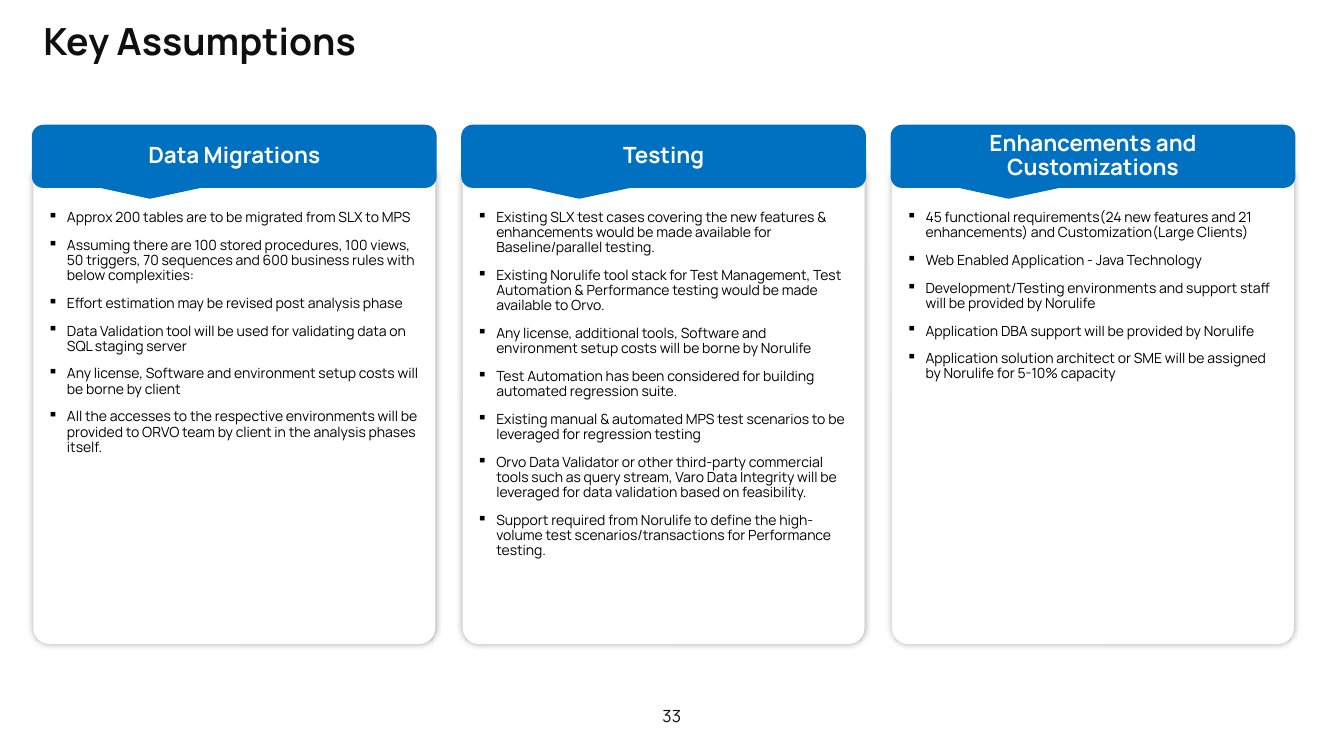
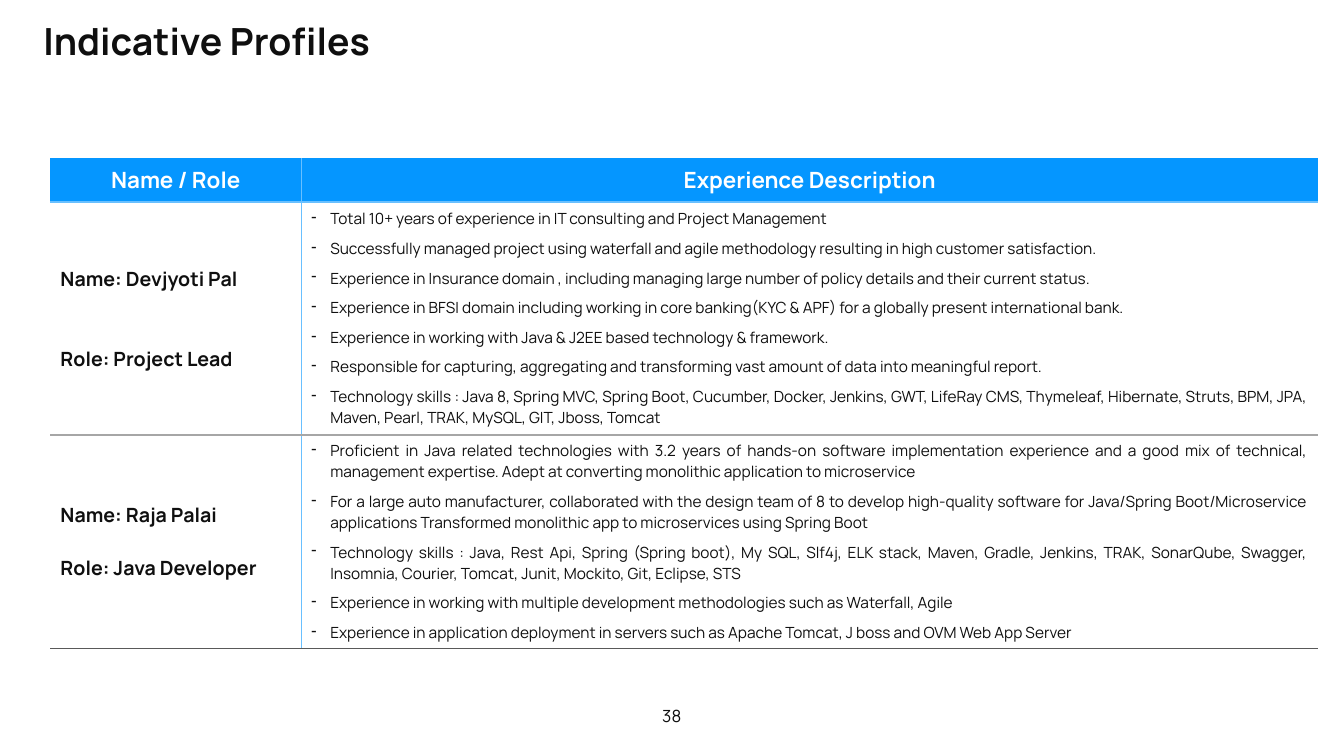
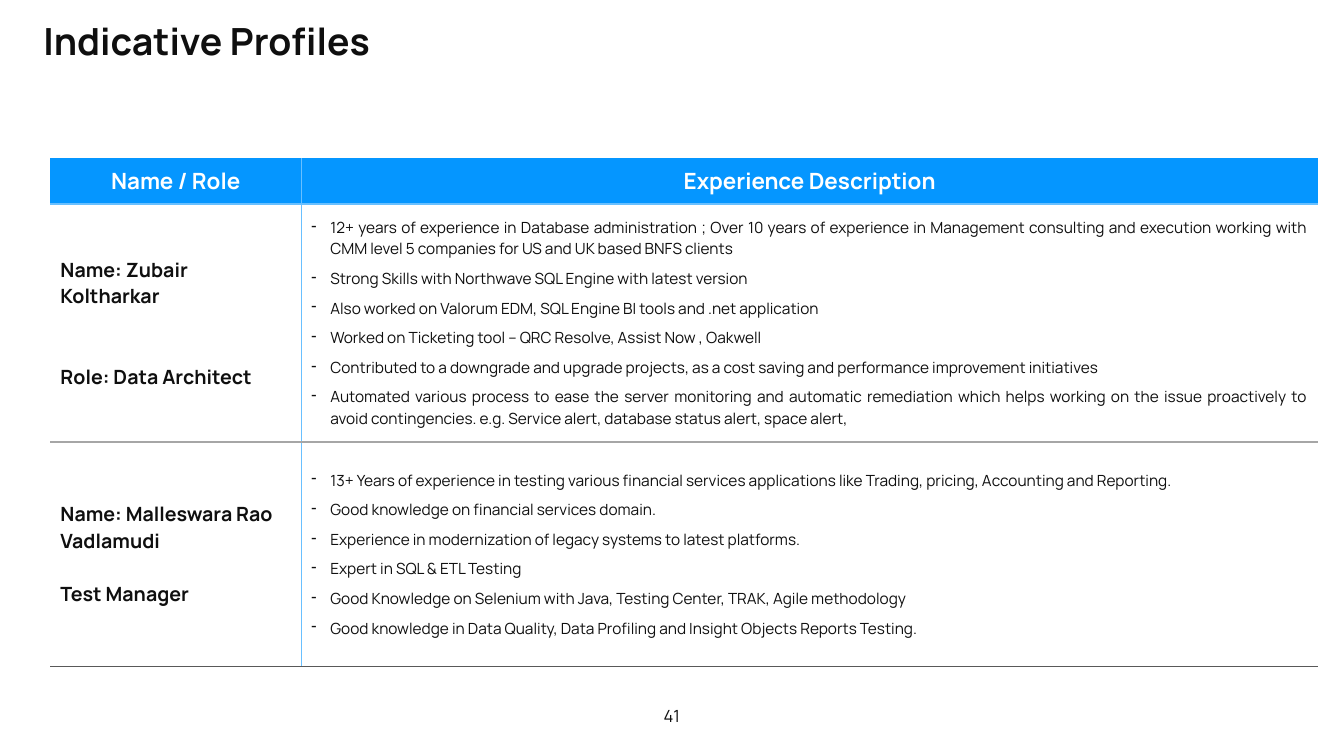
from lxml import etree
from pptx import Presentation
from pptx.dml.color import RGBColor
from pptx.enum.shapes import MSO_SHAPE
from pptx.enum.text import MSO_ANCHOR, MSO_AUTO_SIZE, PP_ALIGN
from pptx.oxml.ns import qn
from pptx.util import Cm, Pt

CARD_SHAPE = MSO_SHAPE.ROUND_2_SAME_RECTANGLE
CALLOUT_SHAPE = MSO_SHAPE.ROUNDED_RECTANGULAR_CALLOUT
TOP, MIDDLE = MSO_ANCHOR.TOP, MSO_ANCHOR.MIDDLE
NO_AUTOFIT = MSO_AUTO_SIZE.NONE
LEFT, CENTER, JUSTIFY = PP_ALIGN.LEFT, PP_ALIGN.CENTER, PP_ALIGN.JUSTIFY

FONT = "Manrope"
COLORS = {
    "ink": "0F0F0F",
    "black": "000000",
    "white": "FFFFFF",
    "callout": "0070C0",
    "header": "0596FF",
    "divider": "69C0FF",
    "row_line": "A6A6A6",
    "end_line": "595959",
}
INDENT = Cm(0.48)
TITLE_ONLY = 5

ASSUMPTIONS = [
    ("Data Migrations", [
        "Approx 200 tables are to be migrated from SLX to MPS",
        "Assuming there are 100 stored procedures, 100 views, 50 triggers, 70 sequences and 600 business rules with below complexities:",
        "Effort estimation may be revised post analysis phase",
        "Data Validation tool will be used for validating data on SQL staging server",
        "Any license, Software and environment setup costs will be borne by client",
        "All the accesses to the respective environments will be provided to ORVO team by client in the analysis phases itself.",
    ]),
    ("Testing", [
        "Existing SLX test cases covering the new features & enhancements would be made available for Baseline/parallel testing.",
        "Existing Norulife tool stack for Test Management, Test Automation & Performance testing would be made available to Orvo.",
        "Any license, additional tools, Software and environment setup costs will be borne by Norulife",
        "Test Automation has been considered for building automated regression suite.",
        "Existing manual & automated MPS test scenarios to be leveraged for regression testing",
        "Orvo Data Validator or other third-party commercial tools such as query stream, Varo Data Integrity will be leveraged for data validation based on feasibility.",
        "Support required from Norulife to define the high-volume test scenarios/transactions for Performance testing.",
    ]),
    ("Enhancements and Customizations", [
        "45 functional requirements(24 new features and 21 enhancements) and Customization(Large Clients)",
        "Web Enabled Application - Java Technology",
        "Development/Testing environments and support staff will be provided by Norulife",
        "Application DBA support will be provided by Norulife",
        "Application solution architect or SME will be assigned by Norulife for 5-10% capacity",
    ]),
]

PROFILE_PAGES = [
    ("38", [1.1, 5.87, 5.38], [
        (["Name: Devjyoti Pal", "Role: Project Lead"], [
            "Total 10+ years of experience in IT consulting and Project Management",
            "Successfully managed project using waterfall and agile methodology resulting in high customer satisfaction.",
            "Experience in Insurance domain , including managing large number of policy details and their current status.",
            "Experience in BFSI domain including working in core banking(KYC & APF) for a globally present international bank.",
            "Experience in working with Java & J2EE based technology & framework.",
            "Responsible for capturing, aggregating and transforming vast amount of data into meaningful report.",
            "Technology skills : Java 8, Spring MVC, Spring Boot, Cucumber, Docker, Jenkins, GWT, LifeRay CMS, Thymeleaf, Hibernate, Struts, BPM, JPA, Maven, Pearl, TRAK, MySQL, GIT, Jboss, Tomcat",
        ]),
        (["Name: Raja Palai", "Role: Java Developer"], [
            "Proficient in Java related technologies with 3.2 years of hands-on software implementation experience and a good mix of technical, management expertise. Adept at converting monolithic application to microservice",
            "For a large auto manufacturer, collaborated with the design team of 8 to develop high-quality software for Java/Spring Boot/Microservice applications Transformed monolithic app to microservices using Spring Boot",
            "Technology skills : Java, Rest Api, Spring (Spring boot), My SQL, Slf4j, ELK stack, Maven, Gradle, Jenkins, TRAK, SonarQube, Swagger, Insomnia, Courier, Tomcat, Junit, Mockito, Git, Eclipse, STS",
            "Experience in working with multiple development methodologies such as Waterfall, Agile",
            "Experience in application deployment in servers such as Apache Tomcat, J boss and OVM Web App Server",
        ]),
    ]),
    ("41", [1.15, 6.0, 5.65], [
        (["Name: Zubair Koltharkar", "Role: Data Architect"], [
            "12+ years of experience in Database administration ; Over 10 years of experience in Management consulting and execution working with CMM level 5 companies for US and UK based BNFS clients",
            "Strong Skills with Northwave SQL Engine with latest version",
            "Also worked on Valorum EDM, SQL Engine BI tools and .net application",
            "Worked on Ticketing tool – QRC Resolve, Assist Now , Oakwell",
            "Contributed to a downgrade and upgrade projects, as a cost saving and performance improvement initiatives",
            "Automated various process to ease the server monitoring and automatic remediation which helps working on the issue proactively to avoid contingencies. e.g. Service alert, database status alert, space alert,",
        ]),
        (["Name: Malleswara Rao Vadlamudi", "Test Manager"], [
            "13+ Years of experience in testing various financial services applications like Trading, pricing, Accounting and Reporting.",
            "Good knowledge on financial services domain.",
            "Experience in modernization of legacy systems to latest platforms.",
            "Expert in SQL & ETL Testing",
            "Good Knowledge on Selenium with Java, Testing Center, TRAK, Agile methodology",
            "Good knowledge in Data Quality, Data Profiling and Insight Objects Reports Testing.",
        ]),
    ]),
]


def rgb(name):
    """Return the named palette colour."""
    return RGBColor.from_string(COLORS[name])


def write(frame, lines, size, color="ink", bold=False, align=LEFT, bullet=None,
          before=0, after=0, spacing=None):
    """Fill a text frame with one styled paragraph per line."""
    frame.word_wrap = True
    frame.text = "\n".join(lines)
    for index, para in enumerate(frame.paragraphs):
        if bullet:
            properties = para._p.get_or_add_pPr()
            properties.set("marL", str(INDENT))
            properties.set("indent", str(-INDENT))
            etree.SubElement(properties, qn("a:buChar")).set("char", bullet)
        para.alignment = align
        para.space_before = Pt(before if index else 0)
        para.space_after = Pt(after)
        if spacing:
            para.line_spacing = spacing
        for span in para.runs:
            span.font.name = FONT
            span.font.size = Pt(size)
            span.font.bold = bold
            span.font.color.rgb = rgb(color)


def add_page(deck, title_text, number):
    """Add a page with its title and page number."""
    page = deck.slides.add_slide(deck.slide_layouts[TITLE_ONLY])
    title = page.shapes.title
    title.left, title.top, title.width, title.height = Cm(0.84), Cm(0.46), Cm(31.78), Cm(2.72)
    title.text_frame.auto_size = NO_AUTOFIT
    title.text_frame.vertical_anchor = TOP
    write(title.text_frame, [title_text], 26.7, bold=True, spacing=0.9)
    box = page.shapes.add_textbox(Cm(16.13), Cm(17.65), Cm(1.6), Cm(0.76))
    box.text_frame.vertical_anchor = MIDDLE
    write(box.text_frame, [number], 12, align=CENTER)
    return page


def add_glow(shape):
    """Give a shape a soft shadow on all sides."""
    effects = etree.SubElement(shape._element.spPr, qn("a:effectLst"))
    shadow = etree.SubElement(effects, qn("a:outerShdw"), blurRad=str(Pt(5)), dist="0", dir="0")
    color = etree.SubElement(shadow, qn("a:srgbClr"), val=COLORS["black"])
    etree.SubElement(color, qn("a:alpha"), val="40000")


def add_card(page, left, top, width, height, heading, points):
    """Draw a white card of bullets under a callout heading."""
    card_offset = 1.06
    card = page.shapes.add_shape(CARD_SHAPE, Cm(left), Cm(top + card_offset),
                                 Cm(width), Cm(height - card_offset))
    card.adjustments[0], card.adjustments[1] = 0.02, 0.04
    card.fill.solid()
    card.fill.fore_color.rgb = rgb("white")
    card.line.fill.background()
    add_glow(card)
    card.text_frame.margin_top = Cm(1)
    card.text_frame.vertical_anchor = TOP
    write(card.text_frame, points, 10, "black", bullet="▪", before=6, after=3, spacing=0.9)

    callout = page.shapes.add_shape(CALLOUT_SHAPE, Cm(left), Cm(top), Cm(width), Cm(1.52))
    callout.adjustments[0], callout.adjustments[1] = -0.21, 0.68
    callout.shadow.inherit = False
    callout.fill.solid()
    callout.fill.fore_color.rgb = rgb("callout")
    callout.line.color.rgb = rgb("callout")
    callout.line.width = Pt(2)
    callout.text_frame.vertical_anchor = MIDDLE
    write(callout.text_frame, [heading], 16, "white", True, CENTER, spacing=0.9)


def style_cell(cell, fill, borders):
    """Set the fill, anchor and four borders of a cell."""
    properties = cell._tc.get_or_add_tcPr()
    for side in ("lnL", "lnR", "lnT", "lnB"):
        line = etree.SubElement(properties, qn("a:" + side), w=str(Pt(1)))
        if side in borders:
            paint = etree.SubElement(line, qn("a:solidFill"))
            etree.SubElement(paint, qn("a:srgbClr"), val=COLORS[borders[side]])
        else:
            etree.SubElement(line, qn("a:noFill"))
    cell.fill.solid()
    cell.fill.fore_color.rgb = rgb(fill)
    cell.vertical_anchor = MIDDLE


def add_profiles(page, left, top, widths, heights, profiles):
    """Draw the table of people and their experience."""
    frame = page.shapes.add_table(len(heights), len(widths), Cm(left), Cm(top),
                                  Cm(sum(widths)), Cm(sum(heights)))
    table = frame.table
    table.horz_banding = False
    for column, width in zip(table.columns, widths):
        column.width = Cm(width)
    for row, height in zip(table.rows, heights):
        row.height = Cm(height)

    bottoms = ["divider", "row_line", "end_line"]
    for row_index, bottom in enumerate(bottoms):
        for column_index, side in enumerate(("lnR", "lnL")):
            borders = {side: "divider", "lnB": bottom}
            if row_index:
                borders["lnT"] = bottoms[row_index - 1]
            style_cell(table.cell(row_index, column_index),
                       "white" if row_index else "header", borders)

    for column_index, heading in enumerate(("Name / Role", "Experience Description")):
        write(table.cell(0, column_index).text_frame, [heading], 16, "white", True, CENTER)
    for row_index, (person, points) in enumerate(profiles, 1):
        role_gap = 38 if row_index == 1 else 19
        write(table.cell(row_index, 0).text_frame, person, 14, bold=True, before=role_gap)
        write(table.cell(row_index, 1).text_frame, points, 11, align=JUSTIFY,
              bullet="-", before=3, after=3)


def main():
    """Build and save the deck."""
    deck = Presentation()
    deck.slide_width, deck.slide_height = Cm(33.87), Cm(19.05)
    page = add_page(deck, "Key Assumptions", "33")
    for index, (heading, points) in enumerate(ASSUMPTIONS):
        add_card(page, 0.84 + index * 10.82, 3.18, 10.13, 13.05, heading, points)
    for number, heights, profiles in PROFILE_PAGES:
        page = add_page(deck, "Indicative Profiles", number)
        add_profiles(page, 1.27, 3.99, [6.32, 25.63], heights, profiles)
    deck.save("out.pptx")


if __name__ == "__main__":
    main()
